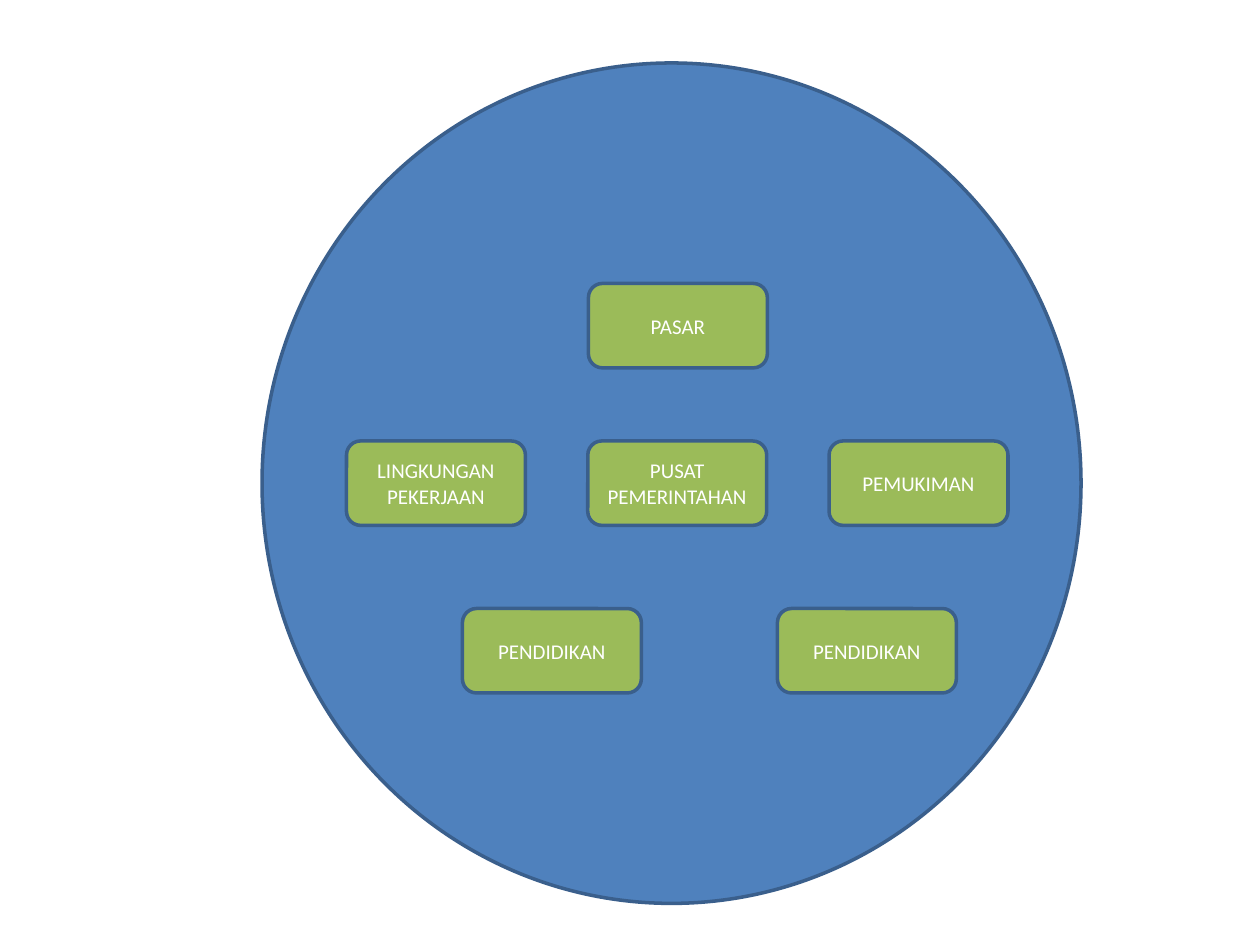
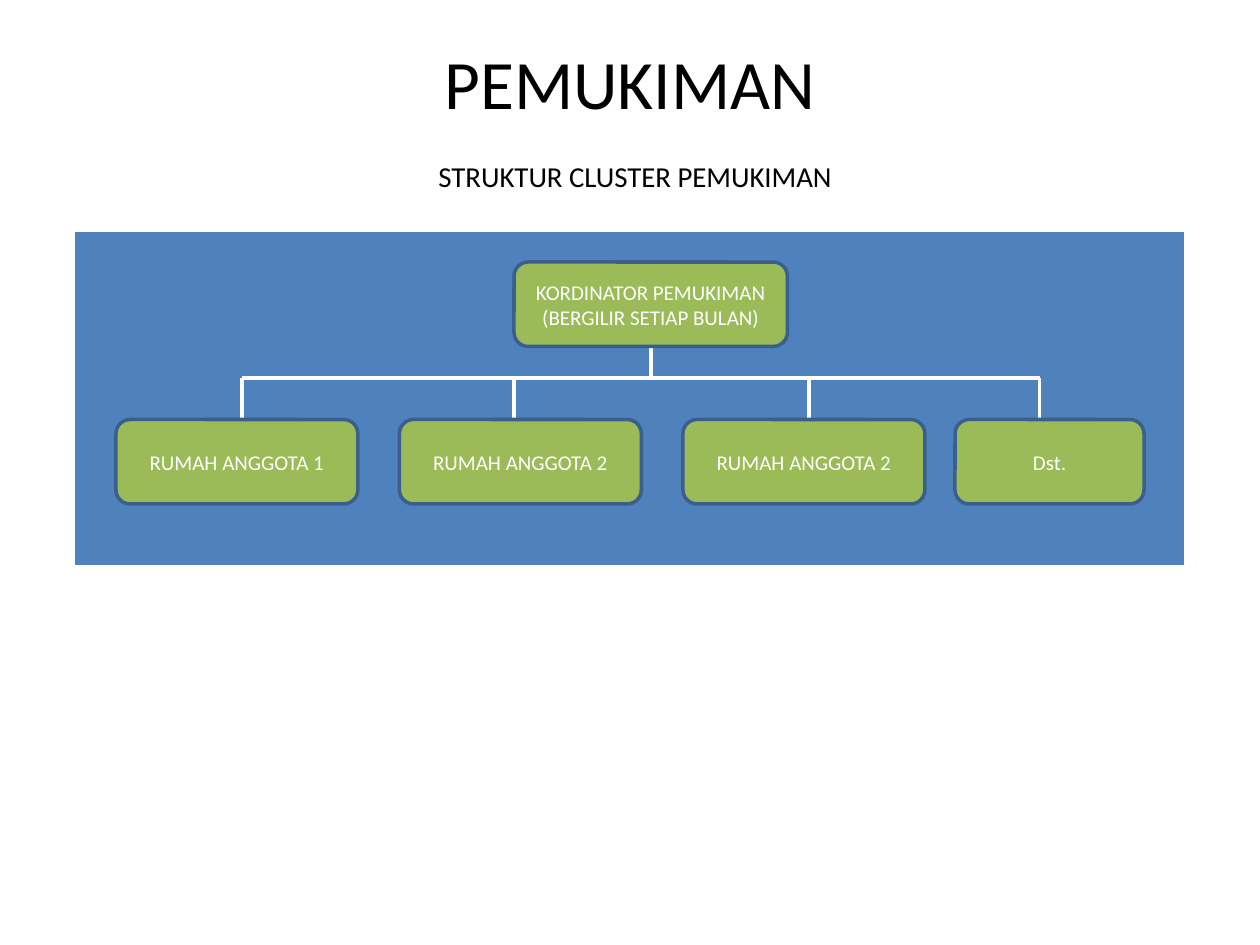
from pptx import Presentation
from pptx.dml.color import RGBColor
from pptx.enum.shapes import MSO_CONNECTOR, MSO_SHAPE
from pptx.enum.text import MSO_ANCHOR, MSO_AUTO_SIZE, PP_ALIGN
from pptx.oxml import parse_xml
from pptx.oxml.ns import nsdecls
from pptx.util import Inches, Pt

# Content: each row of the city map has a top, a first left, a pitch and labels
CITY_ROWS = [
    (2.25, 4.67, 0, ["PASAR"]),
    (3.5, 2.75, 1.915, ["LINGKUNGAN PEKERJAAN", "PUSAT PEMERINTAHAN", "PEMUKIMAN"]),
    (4.83, 3.67, 2.5, ["PENDIDIKAN", "PENDIDIKAN"]),
]
TITLE = "PEMUKIMAN"
SUBTITLE = "STRUKTUR CLUSTER PEMUKIMAN"
COORDINATOR = "KORDINATOR PEMUKIMAN\n(BERGILIR SETIAP BULAN)"
# Member label, box width, x of the line that drops to it
MEMBERS = [
    ("RUMAH ANGGOTA 1", 1.92, 1.92),
    ("RUMAH ANGGOTA 2", 1.92, 4.08),
    ("RUMAH ANGGOTA 2", 1.92, 6.42),
    ("Dst.", 1.5, 8.25),
]

# Shared style
FONT = "Calibri"
BLUE, GREEN, EDGE = "4F81BD", "9BBB59", "3A5F8C"
WHITE, BLACK = "FFFFFF", "000000"
LINE_WIDTH = 2
BOX_HEIGHT = 0.67
CITY_BOX_WIDTH = 1.42


def color(hex_string):
    return RGBColor.from_string(hex_string)


def write(frame, text, size, hex_string, spacing=None):
    frame.text = text
    frame.word_wrap = True
    frame.auto_size = MSO_AUTO_SIZE.NONE
    frame.vertical_anchor = MSO_ANCHOR.MIDDLE
    for para in frame.paragraphs:
        para.alignment = PP_ALIGN.CENTER
        if spacing:
            para.line_spacing = spacing
        for span in para.runs:
            span.font.name = FONT
            span.font.size = Pt(size)
            span.font.color.rgb = color(hex_string)


def add_panel(page, kind, left, top, width, height, fill=BLUE, edge=EDGE):
    panel = page.shapes.add_shape(kind, *map(Inches, (left, top, width, height)))
    panel.shadow.inherit = False
    panel.fill.solid()
    panel.fill.fore_color.rgb = color(fill)
    panel.line.color.rgb = color(edge)
    panel.line.width = Pt(LINE_WIDTH)
    return panel


def add_box(page, text, left, top, width):
    box = add_panel(page, MSO_SHAPE.ROUNDED_RECTANGLE, left, top, width, BOX_HEIGHT, GREEN)
    write(box.text_frame, text, 12, WHITE)


def add_line(page, x1, y1, x2, y2):
    line = page.shapes.add_connector(MSO_CONNECTOR.STRAIGHT, *map(Inches, (x1, y1, x2, y2)))
    line.line.color.rgb = color(WHITE)
    line.line.width = Pt(LINE_WIDTH)
    line._element.spPr.append(parse_xml(f"<a:effectLst {nsdecls('a')}/>"))


deck = Presentation()
deck.slide_width, deck.slide_height = Inches(10), Inches(7.5)
TITLE_ONLY, BLANK = deck.slide_layouts[5], deck.slide_layouts[6]

# Slide 1: city map inside a circle
page = deck.slides.add_slide(BLANK)
add_panel(page, MSO_SHAPE.OVAL, 2.08, 0.5, 6.5, 6.67)
for top, first_left, pitch, labels in CITY_ROWS:
    for column, label in enumerate(labels):
        add_box(page, label, first_left + column * pitch, top, CITY_BOX_WIDTH)

# Slide 2: title and subtitle
page = deck.slides.add_slide(TITLE_ONLY)
title = page.shapes.title
title.left, title.top, title.width, title.height = map(Inches, (0.5, 0.3, 9, 0.7))
write(title.text_frame, TITLE, 39.6, BLACK)
subtitle = page.shapes.add_textbox(*map(Inches, (3.08, 1.17, 3.92, 0.5)))
write(subtitle.text_frame, SUBTITLE, 16.5, BLACK, spacing=0.8)

# Slide 2: band and tree lines, behind the boxes
add_panel(page, MSO_SHAPE.RECTANGLE, 0.58, 1.83, 8.83, 2.67, edge=WHITE)
HEAD_LEFT, HEAD_TOP, HEAD_WIDTH = 4.08, 2.08, 2.17
BUS_Y, MEMBER_TOP = 3, 3.33
trunk_x = HEAD_LEFT + HEAD_WIDTH / 2
drops = [drop for _, _, drop in MEMBERS]
add_line(page, trunk_x, HEAD_TOP + BOX_HEIGHT - 0.08, trunk_x, BUS_Y)
add_line(page, drops[0], BUS_Y, drops[-1], BUS_Y)
for drop in drops:
    add_line(page, drop, BUS_Y, drop, MEMBER_TOP + 0.17)

# Slide 2: coordinator and evenly started member boxes
add_box(page, COORDINATOR, HEAD_LEFT, HEAD_TOP, HEAD_WIDTH)
MEMBER_LEFT, MEMBER_PITCH = 0.92, 2.25
for column, (label, width, _) in enumerate(MEMBERS):
    last_shift = -0.09 if column == len(MEMBERS) - 1 else 0
    add_box(page, label, MEMBER_LEFT + column * MEMBER_PITCH + last_shift, MEMBER_TOP, width)

deck.save("out.pptx")
